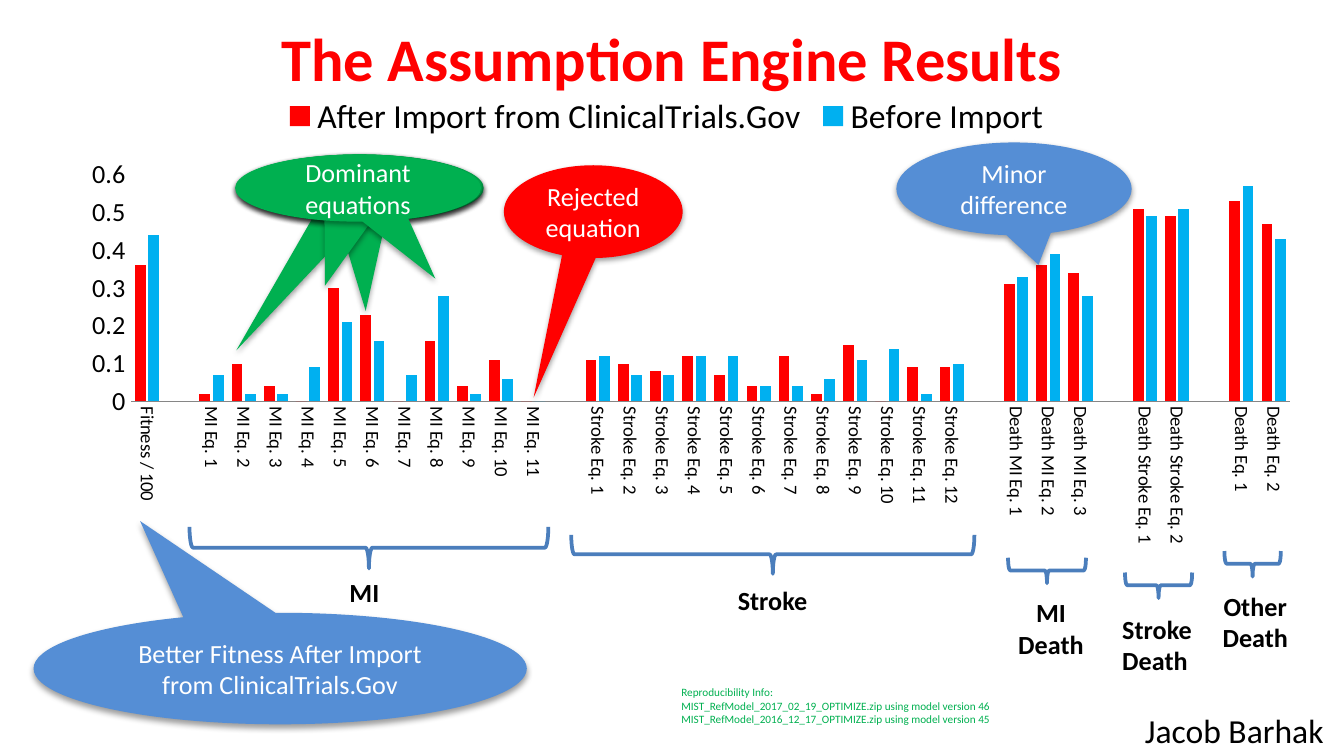
from dataclasses import dataclass

from lxml import etree
from pptx import Presentation
from pptx import util as u
from pptx.chart.data import CategoryChartData
from pptx.dml.color import RGBColor
from pptx.enum import chart as ch, shapes, text
from pptx.oxml import parse_xml
from pptx.oxml.ns import nsdecls, qn

Inches = u.Inches


@dataclass(frozen=True)
class Theme:
    font: str = "Calibri"
    black: str = "000000"
    white: str = "FFFFFF"
    red: str = "FF0000"
    green: str = "00B050"
    sky: str = "00B0F0"
    blue: str = "558ED5"
    brace: str = "4B7EBC"
    axis: str = "868686"
    title: float = 32.4
    large: float = 18
    body: float = 14
    tick: float = 10
    note: float = 6


T = Theme()
INSET = (0.07, 0.04)
CENTER = text.PP_ALIGN.CENTER
LEFT = text.PP_ALIGN.LEFT

# Each group: category prefix, values after import, values before import
GROUPS = [
    ("MI Eq.", [0.02, 0.1, 0.04, 0, 0.3, 0.23, 0, 0.16, 0.04, 0.11, 0],
     [0.07, 0.02, 0.02, 0.09, 0.21, 0.16, 0.07, 0.28, 0.02, 0.06, 0]),
    ("Stroke Eq.", [0.11, 0.1, 0.08, 0.12, 0.07, 0.04, 0.12, 0.02, 0.15, 0, 0.09, 0.09],
     [0.12, 0.07, 0.07, 0.12, 0.12, 0.04, 0.04, 0.06, 0.11, 0.14, 0.02, 0.1]),
    ("Death MI Eq.", [0.31, 0.36, 0.34], [0.33, 0.39, 0.28]),
    ("Death Stroke Eq.", [0.51, 0.49], [0.49, 0.51]),
    ("Death Eq.", [0.53, 0.47], [0.57, 0.43]),
]
# left, top, span, depth
BRACES = [
    (1.41, 3.92, 2.67, 0.31),
    (4.25, 3.98, 3, 0.29),
    (7.5, 4.15, 0.58, 0.19),
    (8.37, 4.26, 0.5, 0.19),
    (9.11, 4.1, 0.42, 0.19),
]
GROUP_LABELS = [
    ((2.53, 4.25, 0.38, 0.31), ["MI"], LEFT),
    ((5.42, 4.31, 0.67, 0.31), ["Stroke"], LEFT),
    ((8.28, 4.52, 0.72, 0.55), ["Stroke", "Death"], LEFT),
    ((7.5, 4.4, 0.64, 0.55), ["MI", "Death"], CENTER),
    ((9.02, 4.35, 0.64, 0.55), ["Other", "Death"], CENTER),
]
# left edge and tip of each
DOMINANT = [(1.76, (-0.501, 2.416)), (1.77, (0.02, 1.828)),
            (1.76, (-0.14, 1.452)), (1.75, (0.314, 1.348))]
CALLOUTS = [((left, 1.15, 1.83, 0.5), tip, T.green, ["Dominant equations"])
            for left, tip in DOMINANT] + [
    ((3.75, 1.23, 1.33, 0.69), (-0.334, 2.005), T.red, ["Rejected equation"]),
    ((6.67, 1.06, 1.75, 0.69), (0.104, 0.819), T.blue, ["Minor", "difference"]),
    ((0.25, 4.56, 3.67, 0.83), (-0.284, -1.323), T.blue,
     ["Better Fitness After Import from ClinicalTrials.Gov"]),
]


def rgb(color):
    return RGBColor.from_string(color)


def apply(obj, **values):
    for name, value in values.items():
        setattr(obj, name, value)


def set_font(font, size, color=T.black, bold=False):
    apply(font, name=T.font, size=u.Pt(size), bold=bold)
    font.color.rgb = rgb(color)


def write(tf, lines, size, color=T.black, bold=False, align=LEFT, inset=INSET, **frame):
    x, y = map(Inches, inset)
    apply(tf, margin_left=x, margin_right=x, margin_top=y, margin_bottom=y, **frame)
    for i, line in enumerate(lines):
        p = tf.paragraphs[0] if i == 0 else tf.add_paragraph()
        p.alignment = align
        r = p.add_run()
        r.text = line
        set_font(r.font, size, color, bold)


def add_text(s, box, lines, size, wrap=True, **fmt):
    tb = s.shapes.add_textbox(*map(Inches, box))
    write(tb.text_frame, lines, size, word_wrap=wrap, **fmt)


def add_brace(s, left, top, span, depth):
    """Draw a brace that opens upward, by turning a right brace a quarter."""
    x, y = left + (span - depth) / 2, top + (depth - span) / 2
    sp = s.shapes.add_shape(shapes.MSO_SHAPE.RIGHT_BRACE,
                            *map(Inches, (x, y, depth, span)))
    sp.rotation = 90
    sp.shadow.inherit = False
    sp.fill.background()
    sp.line.color.rgb = rgb(T.brace)
    sp.line.width = u.Pt(2)


def add_callout(s, box, tip, color, lines):
    sp = s.shapes.add_shape(shapes.MSO_SHAPE.OVAL_CALLOUT, *map(Inches, box))
    sp.adjustments[0], sp.adjustments[1] = tip
    sp.fill.solid()
    sp.fill.fore_color.rgb = rgb(color)
    sp.line.fill.background()
    sp.shadow.inherit = False
    effects = sp.element.spPr.find(qn("a:effectLst"))
    effects.append(parse_xml(
        f'<a:outerShdw {nsdecls("a")} blurRad="40000" dist="20000" dir="5400000" '
        f'rotWithShape="0"><a:srgbClr val="{T.black}"><a:alpha val="38000"/>'
        '</a:srgbClr></a:outerShdw>'))
    write(sp.text_frame, lines, T.body, T.white, align=CENTER, word_wrap=True,
          vertical_anchor=text.MSO_ANCHOR.MIDDLE)


def result_data():
    """Join the groups, with one empty category before each."""
    cats, after, before = ["Fitness / 100"], [0.36], [0.44]
    for prefix, new, old in GROUPS:
        cats += [""] + [f"{prefix} {i}" for i in range(1, len(new) + 1)]
        after += [None] + new
        before += [None] + old
    data = CategoryChartData()
    data.categories = cats
    data.add_series("After Import from ClinicalTrials.Gov", after)
    data.add_series("Before Import", before)
    return data


def place_plot(chart, **place):
    area = chart.plots[0]._element.getparent()
    old = area.find(qn("c:layout"))
    if old is not None:
        area.remove(old)
    layout = parse_xml(f'<c:layout {nsdecls("c")}><c:manualLayout/></c:layout>')
    parts = dict(layoutTarget="inner", xMode="edge", yMode="edge", **place)
    for tag, value in parts.items():
        etree.SubElement(layout[0], qn(f"c:{tag}")).set("val", str(value))
    area.insert(0, layout)


def add_results_chart(s):
    chart = s.shapes.add_chart(ch.XL_CHART_TYPE.COLUMN_CLUSTERED,
                               *map(Inches, (0.17, 0.59, 9.58, 4.44)),
                               result_data()).chart
    set_font(chart.font, T.large)
    apply(chart, has_title=False, has_legend=True)
    apply(chart.legend, position=ch.XL_LEGEND_POSITION.TOP, include_in_layout=False)
    plot = chart.plots[0]
    apply(plot, gap_width=75, overlap=-25, vary_by_categories=False)
    for series, color in zip(plot.series, (T.red, T.sky)):
        series.format.fill.solid()
        series.format.fill.fore_color.rgb = rgb(color)
    for axis, size in ((chart.category_axis, T.tick), (chart.value_axis, T.body)):
        apply(axis, has_major_gridlines=False, major_tick_mark=ch.XL_TICK_MARK.NONE,
              minor_tick_mark=ch.XL_TICK_MARK.NONE)
        set_font(axis.tick_labels.font, size)
    apply(chart.value_axis, minimum_scale=0, maximum_scale=0.6, major_unit=0.1)
    chart.value_axis.format.line.fill.background()
    chart.category_axis.format.line.color.rgb = rgb(T.axis)
    body = chart.category_axis._element.find(qn("c:txPr")).find(qn("a:bodyPr"))
    body.set("rot", "5400000")
    body.set("vert", "horz")
    place_plot(chart, x=0.084, y=0.16, w=0.9, h=0.38)


def main():
    prs = Presentation()
    width = Inches(10)
    apply(prs, slide_width=width, slide_height=width * 9 // 16)
    s = prs.slides.add_slide(prs.slide_layouts[6])
    add_text(s, (8.42, 5.23, 1.58, 0.4), ["Jacob Barhak"], T.large, inset=(0.1, 0.05))
    add_results_chart(s)
    add_text(s, (0.5, 0.16, 9, 0.94), ["The Assumption Engine Results"], T.title,
             color=T.red, bold=True, align=CENTER, inset=(0.1, 0))
    for brace in BRACES:
        add_brace(s, *brace)
    for box, lines, align in GROUP_LABELS:
        add_text(s, box, lines, T.body, wrap=False, bold=True, align=align)
    for callout in CALLOUTS:
        add_callout(s, *callout)
    add_text(s, (5, 5.06, 3, 0.38), [
        "Reproducibility Info:",
        "MIST_RefModel_2017_02_19_OPTIMIZE.zip using model version 46",
        "MIST_RefModel_2016_12_17_OPTIMIZE.zip using model version 45",
    ], T.note, color=T.green)
    prs.save("out.pptx")


if __name__ == "__main__":
    main()
